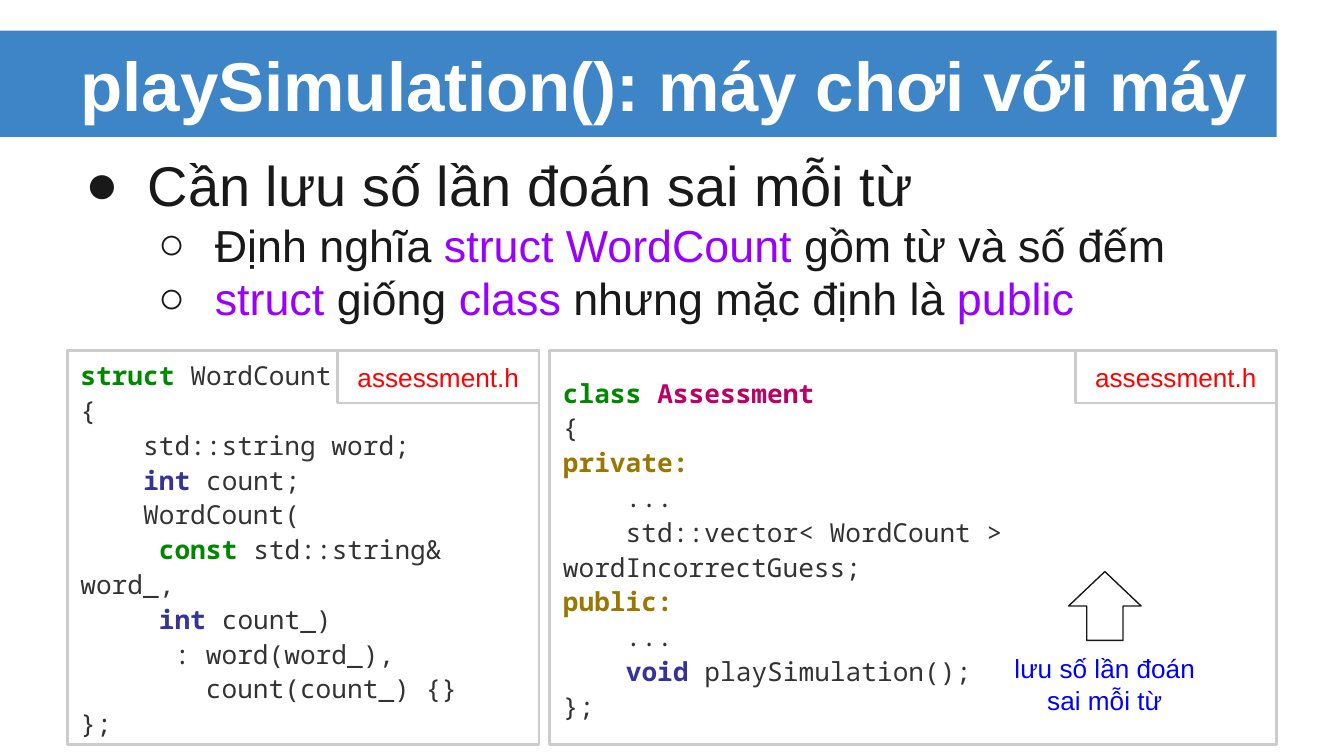
from copy import deepcopy

from lxml.etree import SubElement
from pptx import Presentation
from pptx.dml.color import RGBColor as RGB
from pptx.enum.shapes import MSO_SHAPE as SHAPE
from pptx.enum.text import MSO_ANCHOR as ANCHOR, MSO_AUTO_SIZE as FIT, PP_ALIGN as ALIGN
from pptx.oxml.ns import qn
from pptx.util import Cm, Pt

COLORS = {
    "band": "3D85C6", "white": "FFFFFF", "ink": "191919", "purple": "9900FF",
    "border": "CCCCCC", "red": "FF0000", "blue": "0000FF",
    "code": "333333", "keyword": "008800", "type": "333399",
    "class": "BB0066", "access": "997700",
}
SANS, MONO = "Arial", "Noto Sans Mono"

STRUCT_CODE = [
    [("struct", "keyword"), (" WordCount\n{\n    std::string word;\n    ", "code"),
     ("int", "type"), (" count;\n    WordCount(", "code")],
    [("     const", "keyword"), (" std::string& word_,", "code")],
    [("     int", "type"), (" count_)\n      : word(word_),", "code")],
    [("        count(count_) {}\n};", "code")],
]
CLASS_CODE = [
    [("class ", "keyword"), ("Assessment\n", "class"), ("{\n", "code"),
     ("private:\n", "access"),
     ("    ...\n    std::vector< WordCount > wordIncorrectGuess;\n", "code"),
     ("public:\n", "access"), ("    ...\n    ", "code"), ("void", "type"),
     (" playSimulation();\n};", "code")],
]
BULLETS = [
    (0, [("Cần lưu số lần đoán sai mỗi từ", "ink")]),
    (1, [("Định nghĩa ", "ink"), ("struct WordCount", "purple"),
         (" gồm từ và số đếm", "ink")]),
    (1, [("struct ", "purple"), ("giống ", "ink"), ("class ", "purple"),
         ("nhưng mặc định là ", "ink"), ("public", "purple")]),
]
# Level: bullet, text size, left margin, hanging indent
LEVELS = [("●", 30, 1.27, 1.17), ("○", 24, 2.54, 1.07)]


def color(name):
    return RGB.from_string(COLORS[name])


def place(shape, box):
    shape.left, shape.top, shape.width, shape.height = (Cm(v) for v in box)


def setup_text(shape, anchor=ANCHOR.MIDDLE):
    tf = shape.text_frame
    tf.word_wrap = True
    tf.auto_size = FIT.NONE
    tf.vertical_anchor = anchor
    tf.margin_left = tf.margin_right = tf.margin_top = tf.margin_bottom = Cm(0.25)
    return tf


def add_run(p, text, size, fill, font=SANS, bold=False):
    r = p.add_run()
    r.text = text
    r.font.size, r.font.name, r.font.bold = Pt(size), font, bold
    r.font.color.rgb = color(fill)
    return r


def add_outline(s, kind, box, line, width):
    sp = s.shapes.add_shape(kind, *(Cm(v) for v in box))
    sp.shadow.inherit = False
    sp.fill.background()
    sp.line.color.rgb = color(line)
    sp.line.width = Pt(width)
    return sp


def add_label(sp, text, fill):
    p = setup_text(sp).paragraphs[0]
    p.alignment = ALIGN.CENTER
    add_run(p, text, 14, fill)


def title_band(s, box):
    left, top, width, height = box
    band = add_outline(s, SHAPE.RECTANGLE, box, "band", 0.75)
    band.fill.solid()
    band.fill.fore_color.rgb = color("band")
    band.line.fill.background()
    s.shapes._spTree.insert(2, band._element)  # behind the title
    place(s.shapes.title, (left + 1.27, top, width - 1.27, height))
    p = setup_text(s.shapes.title).paragraphs[0]
    p.alignment = ALIGN.LEFT
    add_run(p, "playSimulation(): máy chơi với máy", 37, "white", bold=True)


def bullet_list(s, box):
    body = s.placeholders[1]
    place(body, box)
    tf = setup_text(body, ANCHOR.TOP)
    for i, (level, runs) in enumerate(BULLETS):
        p = tf.paragraphs[0] if i == 0 else tf.add_paragraph()
        char, size, margin, hang = LEVELS[level]
        p.level = level
        p.space_before = Pt(0)
        pPr = p._p.get_or_add_pPr()
        pPr.set("marL", str(Cm(margin)))
        pPr.set("indent", str(-Cm(hang)))
        SubElement(SubElement(pPr, qn("a:buClr")), qn("a:srgbClr"), val=COLORS["ink"])
        SubElement(pPr, qn("a:buFont"), typeface=SANS)
        SubElement(pPr, qn("a:buChar"), char=char)
        for text, fill in runs:
            add_run(p, text, size, fill)


def code_panel(s, box, code):
    left, top, width, _ = box
    tf = setup_text(add_outline(s, SHAPE.RECTANGLE, box, "border", 1.5))
    for i, runs in enumerate(code):
        p = tf.paragraphs[0] if i == 0 else tf.add_paragraph()
        p.alignment = ALIGN.LEFT
        p.line_spacing = 1.11
        for text, fill in runs:
            for j, line in enumerate(text.split("\n")):
                if j:
                    # The break takes the size of the text before it
                    p.add_line_break()
                    p._p[-1].append(deepcopy(r._r.rPr))
                if line:
                    r = add_run(p, line, 14, fill, MONO, fill != "code")
    # File name in the top right corner
    tab = (left + width - 3.81, top, 3.81, 0.99)
    add_label(add_outline(s, SHAPE.RECTANGLE, tab, "border", 1.5), "assessment.h", "red")


def arrow_note(s, box):
    left, top, width, height = box
    note = s.shapes.add_textbox(Cm(left), Cm(top), Cm(width), Cm(height))
    add_label(note, "lưu số lần đoán sai mỗi từ", "blue")
    arrow_box = (left + width / 2 - 0.65, top - 1.27, 1.3, 1.37)
    arrow = add_outline(s, SHAPE.LEFT_ARROW, arrow_box, "ink", 0.75)
    arrow.rotation = 90


def main():
    prs = Presentation()
    prs.slide_width, prs.slide_height = Cm(25.4), Cm(14.29)
    s = prs.slides.add_slide(prs.slide_layouts[1])
    title_band(s, (0, 0.58, 24.13, 2.01))
    bullet_list(s, (1.27, 2.59, 22.86, 11.1))
    code_panel(s, (1.27, 6.63, 8.92, 7.44), STRUCT_CODE)
    code_panel(s, (10.39, 6.63, 13.74, 7.44), CLASS_CODE)
    arrow_note(s, (18.85, 12.04, 4.06, 1.78))
    prs.save("out.pptx")


if __name__ == "__main__":
    main()
